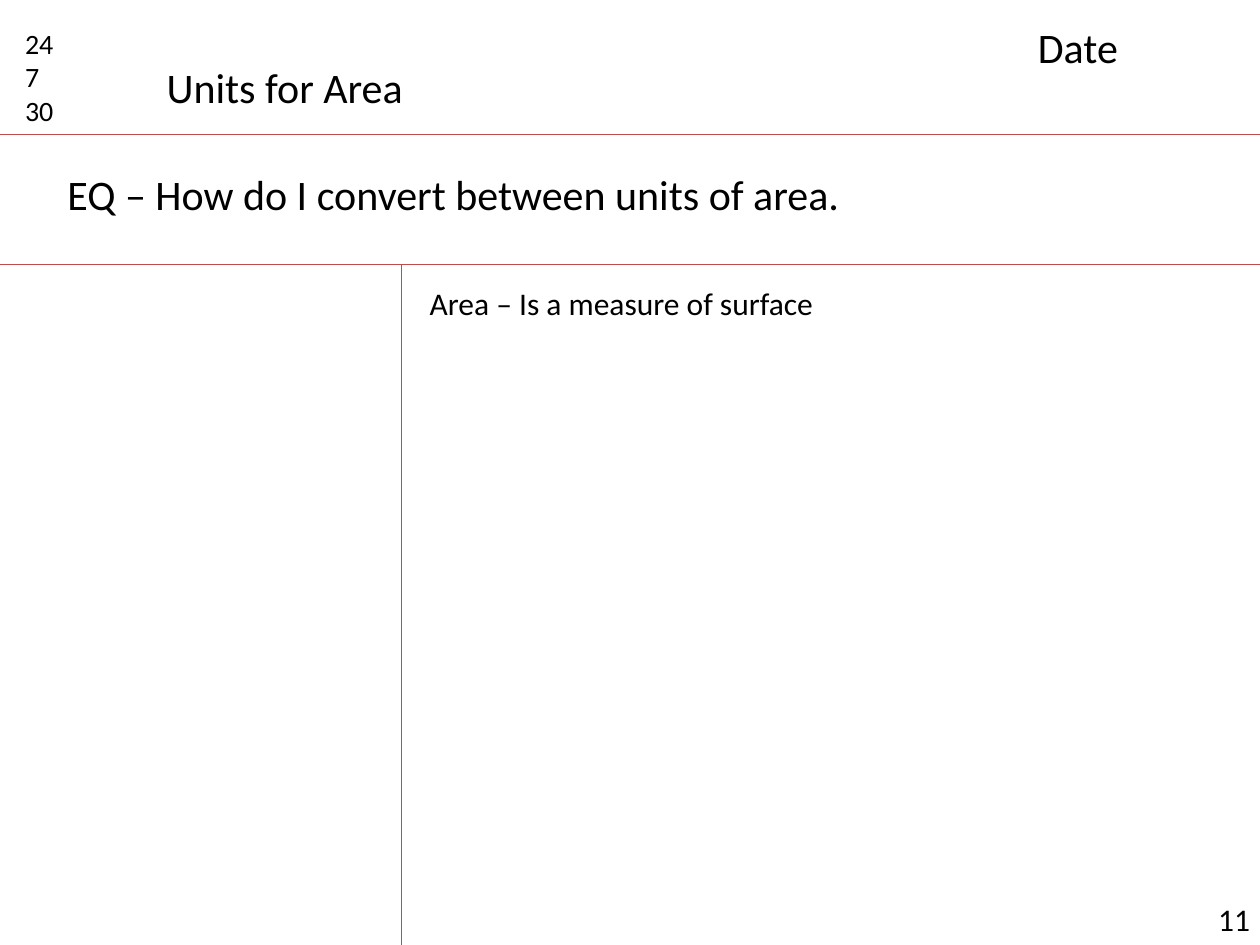
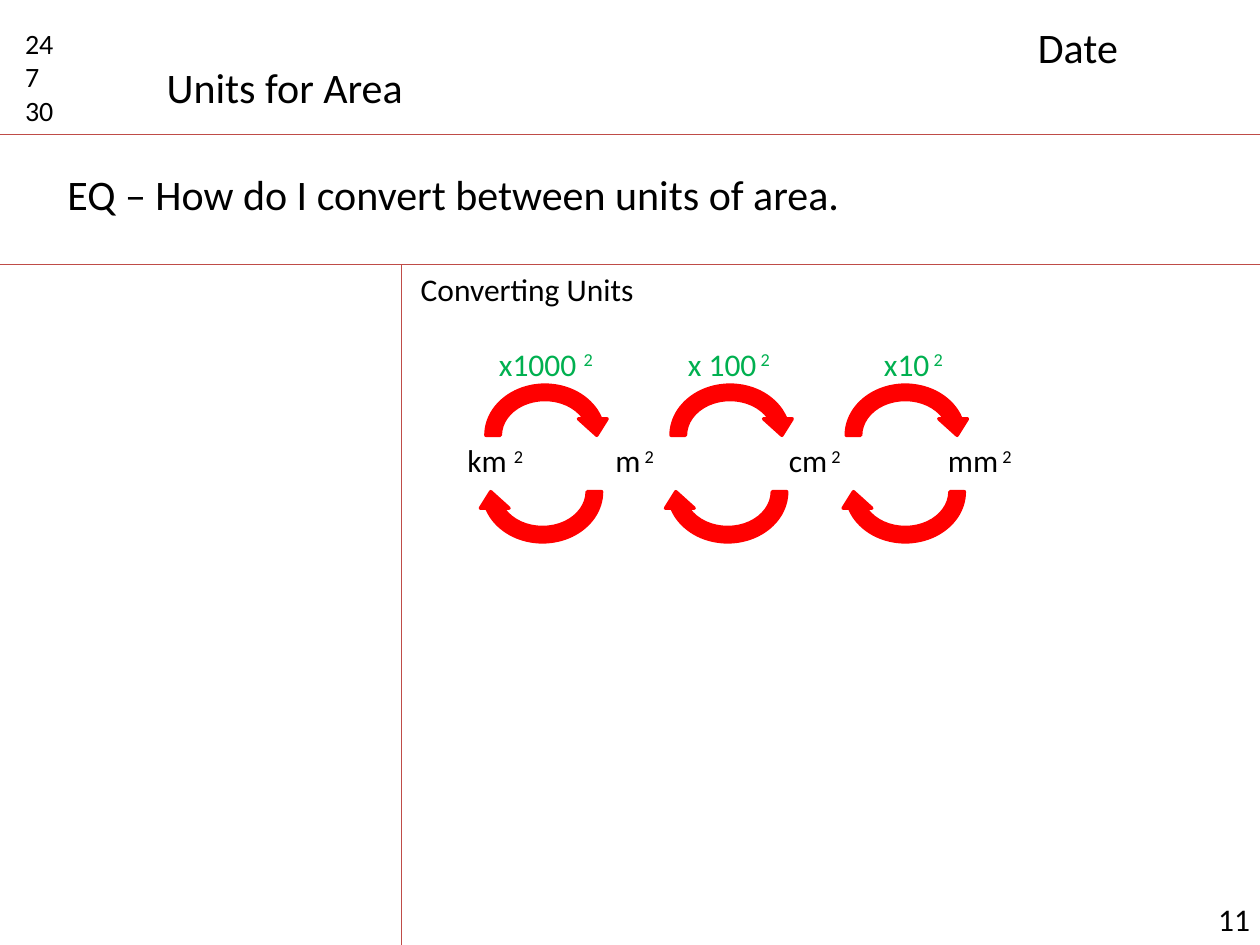
from lxml.etree import SubElement
from pptx import Presentation
from pptx.dml.color import RGBColor
from pptx.enum.shapes import MSO_CONNECTOR, MSO_SHAPE
from pptx.enum.text import MSO_ANCHOR, MSO_AUTO_SIZE, PP_ALIGN
from pptx.oxml.ns import qn
from pptx.util import Pt

BLACK = RGBColor(0x00, 0x00, 0x00)
RULE_RED = RGBColor(0xBF, 0x4C, 0x48)
ARROW_RED = RGBColor(0xFF, 0x00, 0x00)
GREEN = RGBColor(0x00, 0xB0, 0x50)

FONT = "Calibri"
SLIDE_WIDTH, SLIDE_HEIGHT = 720, 540
HEADER_BOTTOM, QUESTION_BOTTOM, MARGIN_X = 77, 151, 229.5
SQUARED = ("2", True)


class NotesPage:
    """A ruled note-taking page; all lengths are in points."""

    def __init__(self, deck):
        self.slide = deck.slides.add_slide(deck.slide_layouts[5])

    def fill_text(self, shape, lines, size, color=BLACK, wrap=True, tabs=()):
        """Each line is a list of (text, is_superscript) runs."""
        frame = shape.text_frame
        frame.word_wrap = wrap
        frame.auto_size = MSO_AUTO_SIZE.SHAPE_TO_FIT_TEXT
        frame.vertical_anchor = MSO_ANCHOR.TOP
        for index, line in enumerate(lines):
            paragraph = frame.add_paragraph() if index else frame.paragraphs[0]
            paragraph.alignment = PP_ALIGN.LEFT
            if tabs:
                stops = SubElement(paragraph._p.get_or_add_pPr(), qn("a:tabLst"))
                for position in tabs:
                    SubElement(stops, qn("a:tab"), pos=str(Pt(position)), algn="l")
            for text, raised in line:
                run = paragraph.add_run()
                run.text = text
                run.font.name = FONT
                run.font.size = Pt(size)
                run.font.color.rgb = color
                if raised:
                    run._r.get_or_add_rPr().set("baseline", "30000")

    def text(self, left, top, width, height, lines, size, **style):
        box = self.slide.shapes.add_textbox(Pt(left), Pt(top), Pt(width), Pt(height))
        self.fill_text(box, lines, size, **style)

    def label(self, left, top, width, height, words, size, **style):
        self.text(left, top, width, height, [[(words, False)]], size, **style)

    def title(self, words):
        title = self.slide.shapes.title
        title.left, title.top, title.width, title.height = Pt(88), Pt(31.5), Pt(150.5), Pt(36)
        self.fill_text(title, [[(words, False)]], 24, wrap=False)

    def rule(self, x1, y1, x2, y2):
        rule = self.slide.shapes.add_connector(
            MSO_CONNECTOR.STRAIGHT, Pt(x1), Pt(y1), Pt(x2), Pt(y2))
        rule.line.color.rgb = RULE_RED
        rule.line.width = Pt(0.75)
        SubElement(rule._element.spPr, qn("a:effectLst"))

    def arc_arrow(self, left, top, rotation=0):
        arrow = self.slide.shapes.add_shape(
            MSO_SHAPE.CIRCULAR_ARROW, Pt(left), Pt(top), Pt(75.6), Pt(65.5))
        arrow.rotation = rotation
        arrow.shadow.inherit = False
        arrow.fill.solid()
        arrow.fill.fore_color.rgb = ARROW_RED
        arrow.line.color.rgb = ARROW_RED
        arrow.line.width = Pt(2)

    def page_frame(self):
        """Rules, heading and question found on every page."""
        self.label(689, 511, 43, 29, "11", 18)
        for y in (HEADER_BOTTOM, QUESTION_BOTTOM):
            self.rule(0, y, SLIDE_WIDTH, y)
        self.text(7.2, 11.5, 45.5, 65.5, [[(n, False)] for n in ("24", "7", "30")], 16)
        self.rule(MARGIN_X, QUESTION_BOTTOM, MARGIN_X, SLIDE_HEIGHT)
        self.title("Units for Area")
        self.label(586, 8.5, 124.5, 36, "Date", 24)
        self.label(31.5, 92.5, 459.5, 36,
                   "EQ – How do I convert between units of area.", 24, wrap=False)


def definition_page(deck):
    page = NotesPage(deck)
    page.page_frame()
    page.label(238.5, 159, 236, 29, "Area – Is a measure of surface", 18, wrap=False)


def conversion_page(deck):
    page = NotesPage(deck)
    page.page_frame()

    # One pair of arrows between each two neighbouring units
    for upper_left, lower_left in ((273.6, 272.2), (379.4, 378), (479.5, 479.5)):
        page.arc_arrow(upper_left, 216)
        page.arc_arrow(lower_left, 248.2, rotation=180)

    # Units and multipliers, set on tab stops
    units = [("km ", False), SQUARED]
    for unit in ("m", "cm", "mm"):
        units += [("\t" + unit, False), (" 2", True)]
    page.text(260, 248.5, 343.5, 29, [units], 18, tabs=(84.6, 183.7, 274.6))

    factors = [("x1000 ", False), SQUARED]
    for factor in ("x 100", "x10"):
        factors += [("\t" + factor, False), (" 2", True)]
    page.text(278, 193.5, 273, 29, [factors], 18, color=GREEN, tabs=(108, 220))

    page.label(233.3, 151, 137.5, 29, "Converting Units", 18, wrap=False)


def main():
    deck = Presentation()
    deck.slide_width, deck.slide_height = Pt(SLIDE_WIDTH), Pt(SLIDE_HEIGHT)
    definition_page(deck)
    conversion_page(deck)
    deck.save("out.pptx")


if __name__ == "__main__":
    main()
